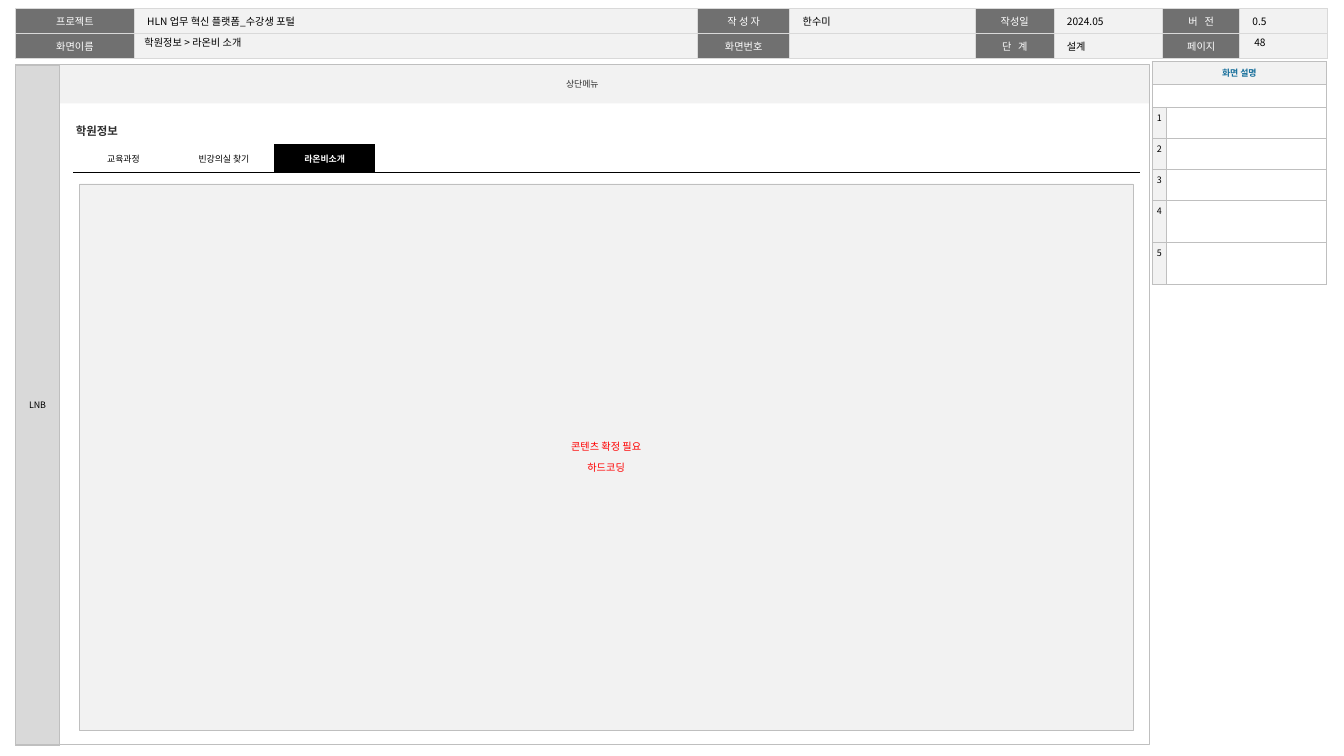
from lxml.etree import SubElement
from pptx import Presentation
from pptx.dml.color import RGBColor
from pptx.enum.shapes import MSO_SHAPE as Shape
from pptx.enum.text import MSO_ANCHOR as Anchor, PP_ALIGN as Align
from pptx.oxml.ns import qn
from pptx.util import Inches, Pt

BLACK = RGBColor(0x00, 0x00, 0x00)
WHITE = RGBColor(0xFF, 0xFF, 0xFF)
INK = RGBColor(0x2E, 0x2E, 0x2E)
LABEL_GRAY = RGBColor(0x70, 0x70, 0x70)
LINE_GRAY = RGBColor(0xBF, 0xBF, 0xBF)
SOFT_GRAY = RGBColor(0xD9, 0xD9, 0xD9)
PALE_GRAY = RGBColor(0xF2, 0xF2, 0xF2)
BLUE = RGBColor(0x17, 0x6F, 0x9B)
RED = RGBColor(0xFF, 0x00, 0x00)
NOTO = "Noto Sans CJK KR"
ARIAL = "Arial"
COLUMNS, ROWS = 147, 82.7  # grid of the slide


def write_text(frame, text, size=7, color=BLACK, font=NOTO, bold=False,
               align=Align.LEFT, spacing=None, gap=0, tracking=0):
    """Write one paragraph per line of text, all in one format."""
    for index, words in enumerate(text.split("\n")):
        paragraph = frame.add_paragraph() if index else frame.paragraphs[0]
        paragraph.alignment = align
        if spacing:
            paragraph.line_spacing = spacing
        if index:
            paragraph.space_before = Pt(gap)
        if not words:
            SubElement(paragraph._p, qn("a:endParaRPr"), sz=str(size * 100))
            continue
        run = paragraph.add_run()
        run.text = words
        run.font.size, run.font.bold, run.font.name = Pt(size), bold, font
        run.font.color.rgb = color
        properties = run._r.get_or_add_rPr()
        SubElement(properties, qn("a:ea"), typeface=NOTO)
        if tracking:
            properties.set("spc", str(tracking))


class Screen:
    """Current slide, measured in grid columns and rows."""

    def __init__(self, deck):
        self.slide = deck.slides.add_slide(deck.slide_layouts[6])
        self.column = deck.slide_width / COLUMNS
        self.row = deck.slide_height / ROWS

    def place(self, left, top, width, height):
        return (int(left * self.column), int(top * self.row),
                int(width * self.column), int(height * self.row))

    def box(self, area, text="", fill=None, line=None, weight=0.25, **style):
        shape = self.slide.shapes.add_shape(Shape.RECTANGLE, *self.place(*area))
        shape.shadow.inherit = False
        if fill is None:
            shape.fill.background()
        else:
            shape.fill.solid()
            shape.fill.fore_color.rgb = fill
        if line is None:
            shape.line.fill.background()
        else:
            shape.line.color.rgb = line
            shape.line.width = Pt(weight)
        if text:
            frame = shape.text_frame
            frame.vertical_anchor = Anchor.MIDDLE
            frame.margin_left = frame.margin_right = 0
            frame.margin_top = frame.margin_bottom = 0
            write_text(frame, text, align=Align.CENTER, **style)

    def label(self, area, text, inset=0.1, anchor=Anchor.MIDDLE, **style):
        frame = self.slide.shapes.add_textbox(*self.place(*area)).text_frame
        frame.word_wrap = True
        frame.vertical_anchor = anchor
        frame.margin_left = frame.margin_right = Inches(inset)
        write_text(frame, text, **style)

    def table(self, left, top, widths, heights):
        area = self.place(left, top, sum(widths), sum(heights))
        table = self.slide.shapes.add_table(len(heights), len(widths), *area).table
        table.first_row = table.horz_banding = False
        for column, width in zip(table.columns, widths):
            column.width = int(width * self.column)
        for row, height in zip(table.rows, heights):
            row.height = int(height * self.row)
        return table

    def cell(self, cell, text="", fill=WHITE, line=LINE_GRAY, weight=0.25,
             sides="LRTB", inset=0.04, anchor=Anchor.MIDDLE, **style):
        cell.margin_left = cell.margin_right = Inches(inset)
        cell.vertical_anchor = anchor
        properties = cell._tc.get_or_add_tcPr()
        for side in "LRTB":
            border = SubElement(properties, qn(f"a:ln{side}"), w=str(int(Pt(weight))))
            if side in sides:
                solid = SubElement(border, qn("a:solidFill"))
                SubElement(solid, qn("a:srgbClr"), val=str(line))
            else:
                SubElement(border, qn("a:noFill"))
        cell.fill.solid()
        cell.fill.fore_color.rgb = fill
        write_text(cell.text_frame, text, **style)


def draw_header(screen):
    header_rows = [
        ["프로젝트", "HLN 업무 혁신 플랫폼_수강생 포털", "작 성 자", "한수미",
         "작성일", "2024.05", "버 전", "0.5"],
        ["화면이름", "", "화면번호", "", "단 계", "설계", "페이지", ""],
    ]
    header = screen.table(1.7, 0.95, [13, 61.6, 10.1, 20.3, 8.6, 11.9, 8.4, 9.6],
                          [2.75, 2.75])
    for r, texts in enumerate(header_rows):
        for c, text in enumerate(texts):
            is_label = c % 2 == 0
            screen.cell(header.cell(r, c), text, line=SOFT_GRAY, weight=1,
                        fill=LABEL_GRAY if is_label else PALE_GRAY,
                        color=WHITE if is_label else BLACK,
                        align=Align.CENTER if is_label else Align.LEFT,
                        tracking=180 if text in ("버 전", "단 계") else 0,
                        inset=0.14, anchor=Anchor.TOP, size=8, spacing=1.05)


def draw_frame(screen):
    screen.box((1.7, 7.1, 124, 4.2), "상단메뉴", fill=PALE_GRAY, color=INK, font=ARIAL)
    side_menu = screen.table(1.7, 7.1, [4.8], [74.4])
    screen.cell(side_menu.cell(0, 0), "LNB", fill=SOFT_GRAY, inset=0,
                align=Align.CENTER)
    screen.box((1.7, 7.1, 124, 74.4), line=LINE_GRAY, weight=0.75)
    screen.label((14.7, 3.8, 59.1, 1.6), "학원정보 > 라온비 소개", inset=0.11, size=8)
    screen.label((136.2, 3.8, 7.2, 1.6), "48", size=8)


def draw_notes(screen):
    notes = screen.table(126, 6.7, [1.6, 17.5], [2.5, 2.5, 3.4, 3.4, 3.4, 4.6, 4.6])
    for r in range(7):
        if r < 2:
            notes.cell(r, 0).merge(notes.cell(r, 1))
        numbered = r > 1
        text = str(r - 1) if numbered else ("화면 설명", "")[r]
        screen.cell(notes.cell(r, 0), text, fill=WHITE if r == 1 else PALE_GRAY,
                    color=BLACK if numbered else BLUE, bold=not numbered,
                    anchor=Anchor.TOP if numbered else Anchor.MIDDLE,
                    align=Align.CENTER)
        screen.cell(notes.cell(r, 1))


def draw_content(screen):
    screen.label((8.3, 12.3, 19.8, 3), "학원정보", inset=0, anchor=Anchor.TOP,
                 size=9, color=INK, font=ARIAL, bold=True, spacing=1.5)
    screen.box((8.7, 20.1, 115.2, 59.8), "콘텐츠 확정 필요\n하드코딩", fill=PALE_GRAY,
               line=LINE_GRAY, size=8, color=RED, font=ARIAL, gap=7.5)
    tab_names = ["교육과정", "빈강의실 찾기", "라온비소개"]
    tabs = screen.table(8, 15.8, [11] * 10 + [6.7], [3.1])
    for c in range(11):
        active = c == 2
        screen.cell(tabs.cell(0, c), tab_names[c] if c < 3 else "",
                    fill=BLACK if active else WHITE, line=BLACK, weight=1, sides="B",
                    color=WHITE if active else BLACK, bold=active, font=ARIAL,
                    align=Align.CENTER)


def main():
    deck = Presentation()
    deck.slide_width, deck.slide_height = Inches(14.7), Inches(8.27)
    screen = Screen(deck)
    # Document header, page frame, description column, page content
    draw_header(screen)
    draw_frame(screen)
    draw_notes(screen)
    draw_content(screen)
    deck.save("out.pptx")


if __name__ == "__main__":
    main()
